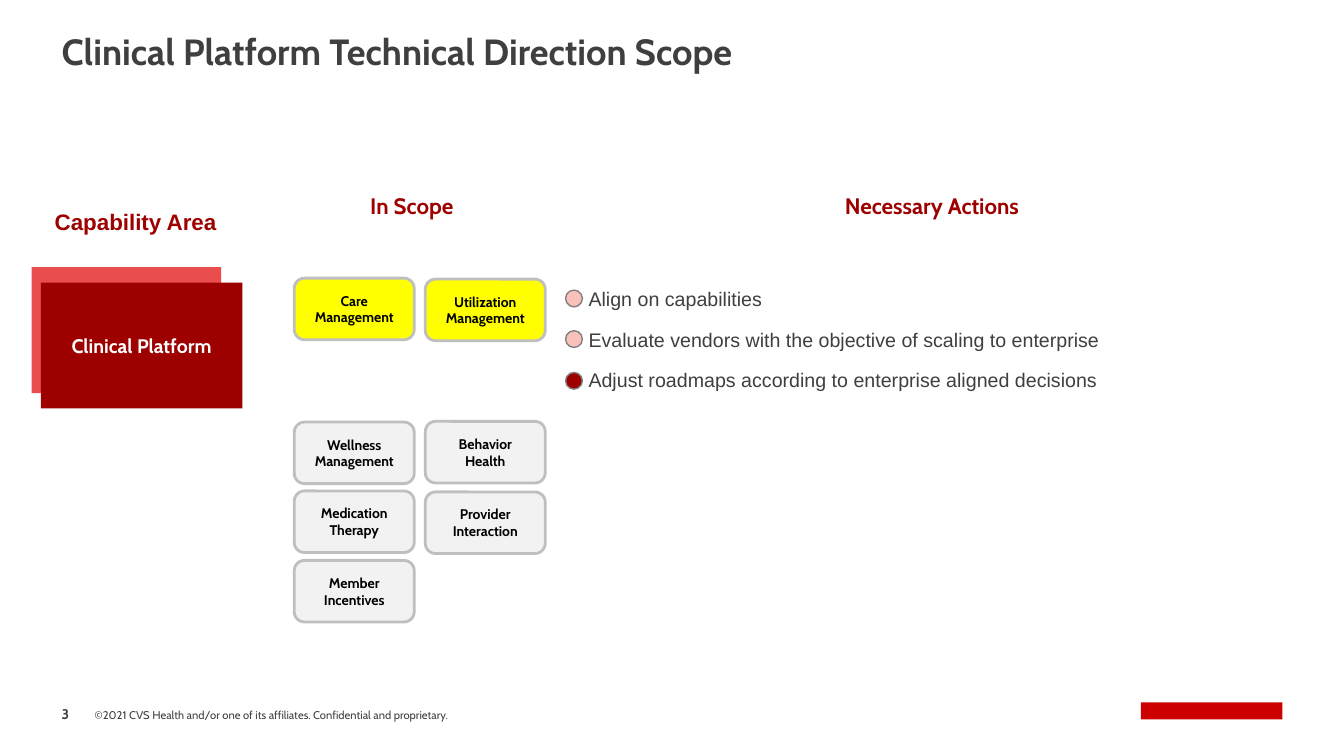
from lxml import etree
from pptx import Presentation
from pptx import util as u
from pptx.dml import color
from pptx.enum import shapes, text
from pptx.oxml import ns

DARK, RED, GREY = "3F3F3F", "9E0000", "BFBFBF"
YELLOW, PALE, PINK = "FFFF00", "F2F2F2", "FAC1BB"


def rgb(value):
    return color.RGBColor.from_string(value)


def write(shape, lines, size=14, font="Cabin", ink=DARK, bold=False, align="LEFT",
          anchor="TOP", margins=(0, 0), before=0, spacing=None, bullet_indent=None):
    """Put one paragraph per line in the shape; margins are horizontal, vertical."""
    frame = shape.text_frame
    frame.word_wrap = True
    frame.vertical_anchor = getattr(text.MSO_ANCHOR, anchor)
    frame.margin_left = frame.margin_right = u.Pt(margins[0])
    frame.margin_top = frame.margin_bottom = u.Pt(margins[1])
    for index, line in enumerate(lines):
        paragraph = frame.add_paragraph() if index else frame.paragraphs[0]
        if bullet_indent:
            properties = paragraph._p.get_or_add_pPr()
            properties.set("marL", str(u.Pt(bullet_indent)))
            properties.set("indent", str(u.Pt(-bullet_indent)))
            etree.SubElement(properties, ns.qn("a:buChar")).set("char", "•")
        paragraph.alignment = getattr(text.PP_ALIGN, align)
        paragraph.space_before = u.Pt(before if index else 0)
        if spacing:
            paragraph.line_spacing = spacing
        run = paragraph.add_run()
        run.text = line
        run.font.size = u.Pt(size)
        run.font.name = font
        run.font.bold = bold
        run.font.color.rgb = rgb(ink)


class SlideBuilder:
    def __init__(self, slide):
        self.slide = slide

    def text_box(self, left, top, width, height, lines, **style):
        box = self.slide.shapes.add_textbox(*map(u.Pt, (left, top, width, height)))
        write(box, lines, **style)

    def shape(self, kind, left, top, width, height, fill, line=None, line_width=1):
        shape = self.slide.shapes.add_shape(
            getattr(shapes.MSO_SHAPE, kind), *map(u.Pt, (left, top, width, height)))
        shape.shadow.inherit = False
        shape.fill.solid()
        shape.fill.fore_color.rgb = rgb(fill)
        if line:
            shape.line.color.rgb = rgb(line)
            shape.line.width = u.Pt(line_width)
        else:
            shape.line.fill.background()
        return shape

    def heading(self, left, top, caption, font="Cabin"):
        self.text_box(left, top, 193.7, 22.3, [caption], size=16, font=font,
                      ink=RED, bold=True, align="CENTER")

    def capability(self, column, top, fill, lines):
        button = self.shape("ROUNDED_RECTANGLE", 210.2 + column * 93.6, top, 85.7, 44,
                            fill, GREY, 2)
        write(button, lines, size=10, ink="000000", bold=True, align="CENTER",
              anchor="MIDDLE", margins=(7.2, 3.6))


def main():
    presentation = Presentation()
    presentation.slide_width, presentation.slide_height = u.Pt(960), u.Pt(540)
    builder = SlideBuilder(presentation.slides.add_slide(presentation.slide_layouts[6]))

    builder.text_box(44, 24.5, 761, 28.8, ["Clinical Platform Technical Direction Scope"],
                     size=26, bold=True, spacing=0.9)

    builder.heading(0, 148.3, "Capability Area", font="Arial")
    builder.heading(197.3, 137.5, "In Scope")
    builder.heading(568.8, 137.5, "Necessary Actions")

    builder.shape("RECTANGLE", 22.5, 190.8, 135.4, 90, "E94D4D")
    platform = builder.shape("RECTANGLE", 29.2, 201.8, 144, 90, RED)
    write(platform, ["Clinical Platform"], ink="FFFFFF", bold=True, align="CENTER",
          anchor="MIDDLE", margins=(3.6, 3.6))

    for column, top, fill, lines in [
        (0, 198.7, YELLOW, ["Care Management"]),
        (1, 199.4, YELLOW, ["Utilization Management"]),
        (0, 301.5, PALE, ["Wellness Management"]),
        (1, 301, PALE, ["Behavior", "Health"]),
        (0, 350.7, PALE, ["Medication", "Therapy"]),
        (1, 351.4, PALE, ["Provider", "Interaction"]),
        (0, 400.3, PALE, ["Member", "Incentives"]),
    ]:
        builder.capability(column, top, fill, lines)

    builder.text_box(399.6, 201.6, 543.6, 82, [
        "Align on capabilities",
        "Evaluate vendors with the objective of scaling to enterprise",
        "Adjust roadmaps according to enterprise aligned\u00a0decisions",
    ], font="Arial", margins=(7.2, 3.6), before=12, bullet_indent=13.7)
    for top, fill in [(207.2, PINK), (236.2, PINK), (266, RED)]:
        builder.shape("OVAL", 404, top, 12, 12, fill, "808080")

    builder.text_box(44, 501, 28, 18, ["3"], size=10, bold=True, anchor="MIDDLE",
                     margins=(0, 3.6))
    builder.text_box(67.7, 506, 633.6, 9.6, [
        "©2021 CVS Health and/or one of its affiliates. Confidential and proprietary.",
    ], size=8, anchor="BOTTOM")
    builder.shape("RECTANGLE", 815, 501.8, 101, 12.2, "CC0000")

    presentation.save("out.pptx")


if __name__ == "__main__":
    main()
